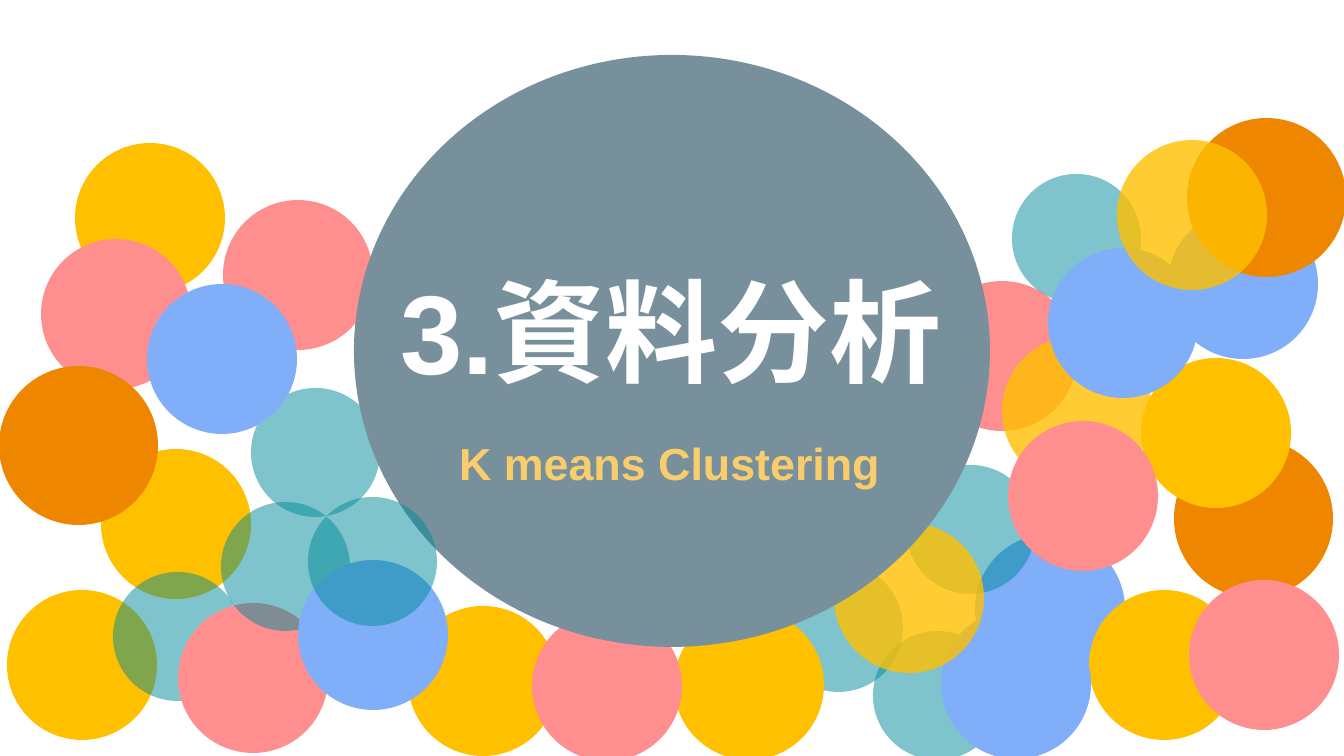
from lxml.etree import SubElement
from pptx import Presentation
from pptx.dml.color import RGBColor
from pptx.enum.shapes import MSO_SHAPE
from pptx.enum.text import MSO_ANCHOR, MSO_AUTO_SIZE, PP_ALIGN
from pptx.oxml.ns import qn
from pptx.util import Pt

PX = 914400 / 134.4

COLORS = {
    "gold": "FFC000", "pink": "FF8F8F", "blue": "80AEF8", "teal": "008B9A",
    "orange": "EF8600", "slate": "78909C", "white": "FFFFFF", "sand": "F9CD6B",
}

# kind: colour, diameter in px, opacity in percent
KINDS = {
    "gold": ("gold", 150, 100),
    "haze": ("gold", 150, 80),
    "pink": ("pink", 150, 100),
    "blue": ("blue", 150, 100),
    "teal": ("teal", 129, 50),
    "orange": ("orange", 159, 100),
}

# kind, left, top in px, from back to front
BALLS = [
    ("gold", 7, 590), ("pink", 927, 281), ("blue", 975, 534),
    ("teal", 774, 563), ("orange", 1174, 439), ("gold", 1141, 358),
    ("haze", 1002, 336), ("pink", 223, 200), ("blue", 1168, 209),
    ("gold", 1089, 590), ("teal", 906, 465), ("teal", 1012, 174),
    ("gold", 75, 143), ("pink", 41, 239), ("teal", 251, 388),
    ("pink", 1189, 580), ("gold", 101, 449), ("teal", 113, 572),
    ("blue", 147, 284), ("teal", 873, 631), ("gold", 408, 606),
    ("pink", 178, 603), ("teal", 221, 502), ("blue", 1048, 248),
    ("orange", 1187, 118), ("orange", -1, 366), ("pink", 1008, 421),
    ("gold", 674, 610), ("pink", 532, 611), ("blue", 298, 560),
    ("blue", 941, 609), ("haze", 834, 523), ("haze", 1117, 140),
]
FRONT = ("teal", 308, 497)
HUB = (354, 55, 636, 592)

TITLE = {
    "text": "3.資料分析", "box": (384, 109, 574, 301), "pad": (13, 13),
    "size": 60, "color": "white", "align": PP_ALIGN.CENTER,
    "anchor": MSO_ANCHOR.BOTTOM,
}
TOPIC = {
    "text": "K means Clustering", "box": (446, 429, 452, 67), "pad": (13, 7),
    "size": 24, "color": "sand", "align": PP_ALIGN.LEFT,
    "anchor": MSO_ANCHOR.TOP,
}


def emu(*vals):
    return [round(v * PX) for v in vals]


def rgb(name):
    return RGBColor.from_string(COLORS[name])


def add_oval(slide, box, color, alpha=100):
    oval = slide.shapes.add_shape(MSO_SHAPE.OVAL, *emu(*box))
    oval.shadow.inherit = False
    oval.line.fill.background()
    oval.fill.solid()
    oval.fill.fore_color.rgb = rgb(color)
    if alpha < 100:
        tint = oval.fill._xPr.find(".//" + qn("a:srgbClr"))
        SubElement(tint, qn("a:alpha"), val=str(alpha * 1000))


def add_ball(slide, kind, left, top):
    color, size, alpha = KINDS[kind]
    add_oval(slide, (left, top, size, size), color, alpha)


def set_text(slide, holder, data):
    """Fill a placeholder and bring it to the front."""
    slide.shapes._spTree.append(holder._element)
    holder.left, holder.top, holder.width, holder.height = emu(*data["box"])
    frame = holder.text_frame
    frame.word_wrap = True
    frame.auto_size = MSO_AUTO_SIZE.NONE
    frame.vertical_anchor = data["anchor"]
    side, edge = emu(*data["pad"])
    frame.margin_left = frame.margin_right = side
    frame.margin_top = frame.margin_bottom = edge
    para = frame.paragraphs[0]
    para.alignment = data["align"]
    para.space_before = Pt(0)
    run = para.add_run()
    run.text = data["text"]
    font = run.font
    font.name, font.size, font.bold = "Arial", Pt(data["size"]), True
    font.color.rgb = rgb(data["color"])
    SubElement(run._r.rPr, qn("a:ea"), typeface="Arial")


def main():
    prs = Presentation()
    prs.slide_width, prs.slide_height = emu(1344, 756)
    slide = prs.slides.add_slide(prs.slide_layouts[0])
    title, topic = slide.placeholders
    for ball in BALLS:
        add_ball(slide, *ball)
    add_oval(slide, HUB, "slate")
    set_text(slide, title, TITLE)
    add_ball(slide, *FRONT)
    set_text(slide, topic, TOPIC)
    prs.save("out.pptx")


if __name__ == "__main__":
    main()
